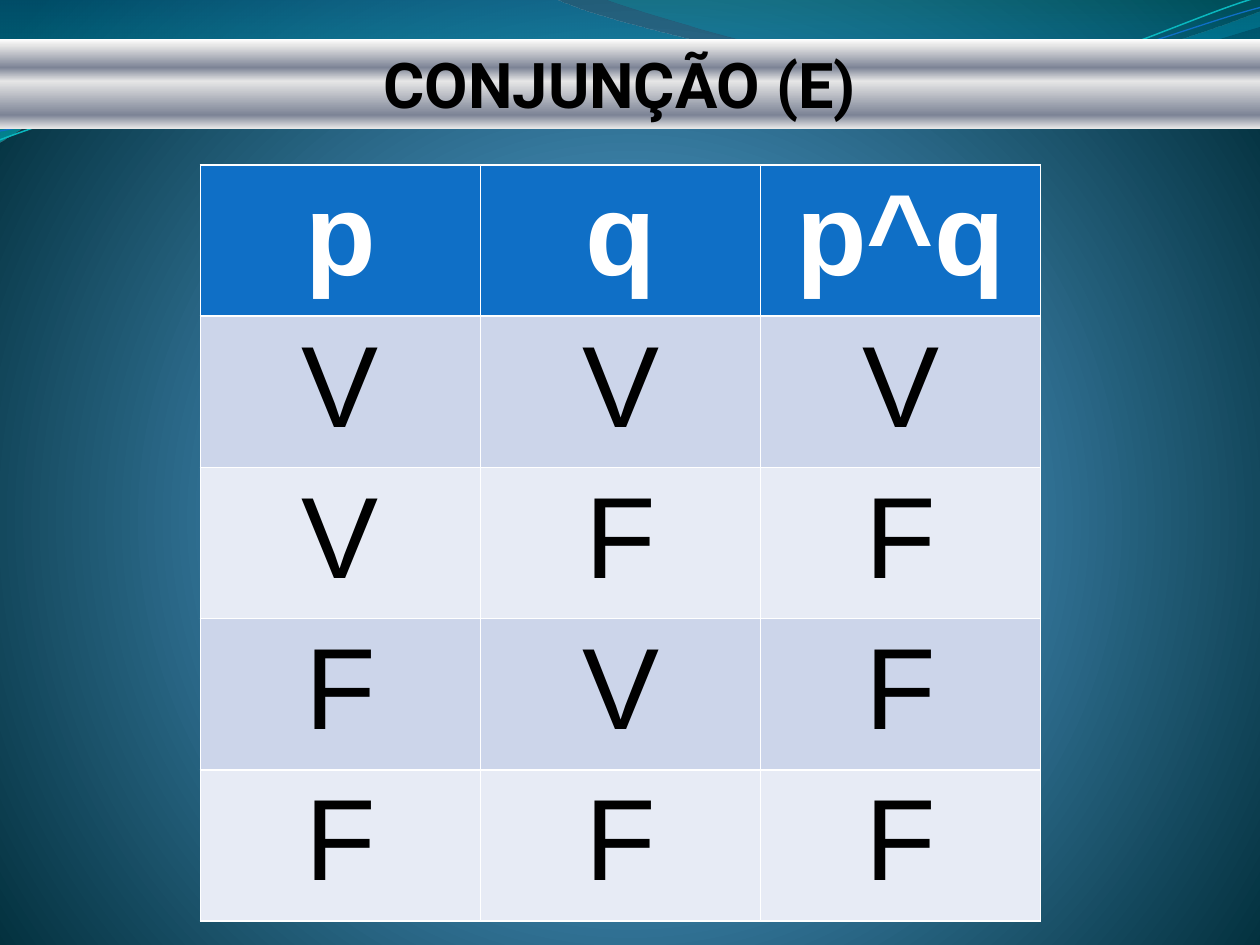
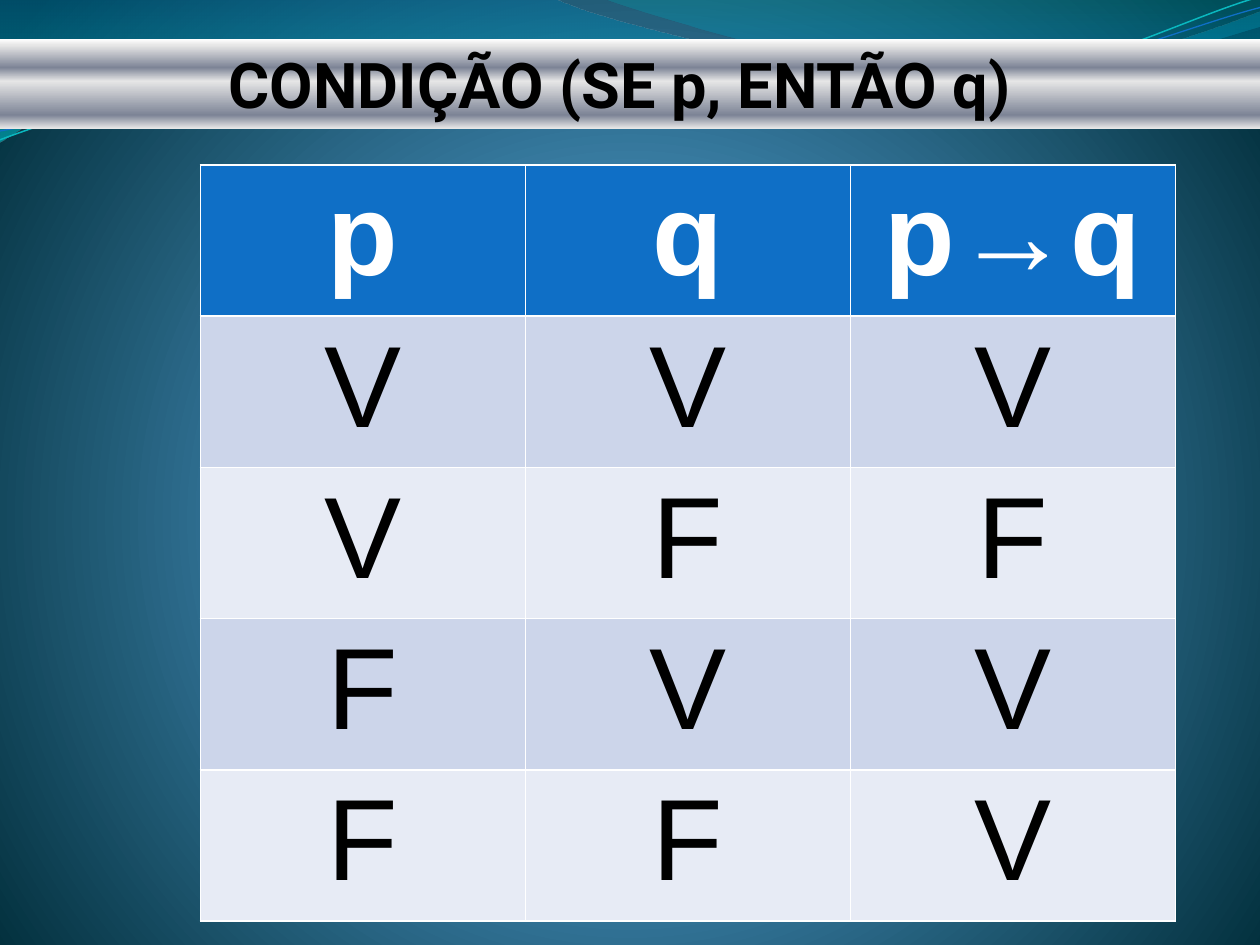
from lxml import etree
from pptx import Presentation
from pptx import util as u
from pptx.dml.color import RGBColor
from pptx.enum import text
from pptx.oxml.ns import qn

COLORS = {
    "white": "FFFFFF", "black": "000000", "silver": "E6E6E6", "steel": "7D8496",
    "header": "0F6FC6", "odd_row": "CCD5EA", "even_row": "E7EBF5",
    "sky": "4AA0D6", "sea": "4C98C7", "deep": "002C38",
    "wave_blue": "0074A1", "wave_cyan": "00C6CF",
    "crest_teal": "00A1A9", "crest_blue": "008BBF", "line_teal": "0AB8BF",
}
BACKGROUND_STOPS = [(0, "sky", 100), (25, "sea", 100), (100, "deep", 100)]
BAND_STOPS = [(0, "white", 100), (7, "silver", 100), (32, "steel", 100),
              (47, "silver", 100), (85, "steel", 100), (100, "silver", 100)]
WAVE_STOPS = [(0, "wave_blue", 45), (100, "wave_cyan", 55)]
CREST_STOPS = [(0, "crest_teal", 30), (80, "crest_blue", 45)]

WAVE = [(0, 0), (4.4, -0.01),
        (4.76, 0.17, 6.64, 0.63, 7.58, 0.63), (8.53, 0.63, 9.58, 0.26, 10, 0.09),
        (10.01, 0.36),
        (9.83, 0.44, 8.7, 0.76, 7.46, 0.75), (6.22, 0.75, 3.82, 0.28, 2.57, 0.34),
        (1.29, 0.36, 0.46, 0.83, -0.01, 1.13), (0, 0)]
CREST = [(4.79, -0.01),
         (5.09, 0.11, 6.82, 0.62, 7.69, 0.65), (8.56, 0.69, 9.61, 0.32, 10, 0.21),
         (10, 0), (4.79, -0.01)]
TEAL_LINE = [(0, 1.11),
             (0.48, 0.93, 1.58, 0.57, 2.77, 0.52), (3.95, 0.47, 5.93, 0.89, 7.13, 0.8),
             (8.33, 0.71, 9.38, 0.15, 9.98, -0.02)]
BLUE_LINE = [(0, 1.04),
             (0.47, 0.96, 1.64, 0.61, 2.83, 0.56), (4.03, 0.51, 5.97, 0.84, 7.17, 0.75),
             (8.36, 0.67, 9.41, 0.21, 10, 0.06)]

TRUTH_TABLES = [
    ("CONJUNÇÃO (E)", 6.67, ["p", "q", "p^q"], ["VVV", "VFF", "FVF", "FFF"]),
    ("CONDIÇÃO (SE p, ENTÃO q)", 7.74, ["p", "q", "p→q"], ["VVV", "VFF", "FVV", "FFV"]),
]


def rgb(name):
    """Return the named palette colour."""
    return RGBColor.from_string(COLORS[name])


def add_element(parent, tag, **attributes):
    """Append a drawing element with the given attributes."""
    values = {key: str(value) for key, value in attributes.items()}
    return etree.SubElement(parent, qn(tag), values)


def set_gradient(fill, element, stops, circle=None):
    """Fill with a vertical gradient, or a circular one toward the given rectangle."""
    fill.gradient()
    gradient = next(element.iter(qn("a:gradFill")))
    for child in list(gradient):
        gradient.remove(child)
    stop_list = add_element(gradient, "a:gsLst")
    for position, name, alpha in stops:
        stop = add_element(stop_list, "a:gs", pos=position * 1000)
        color = add_element(stop, "a:srgbClr", val=COLORS[name])
        if alpha < 100:
            add_element(color, "a:alpha", val=alpha * 1000)
    if circle:
        path = add_element(gradient, "a:path", path="circle")
        sides = {side: value * 1000 for side, value in zip("ltrb", circle)}
        add_element(path, "a:fillToRect", **sides)
    else:
        add_element(gradient, "a:lin", ang=5400000, scaled=0)


def write_text(frame, content, *, font, size, color, bold=False):
    """Write one centred paragraph in the given format."""
    paragraph = frame.paragraphs[0]
    paragraph.alignment = text.PP_ALIGN.CENTER
    run = paragraph.add_run()
    run.text = content
    run.font.name = font
    run.font.size = u.Pt(size)
    run.font.bold = bold
    run.font.color.rgb = rgb(color)


def bend(shape, outline):
    """Replace the straight segments that stand for cubic curves."""
    segments = list(shape.element.iter(qn("a:lnTo")))
    for line, segment in zip(segments, outline[1:]):
        if len(segment) == 2:
            continue
        curve = etree.Element(qn("a:cubicBezTo"))
        for x, y in zip(segment[::2], segment[1::2]):
            add_element(curve, "a:pt", x=u.Inches(x) - shape.left,
                        y=u.Inches(y) - shape.top)
        line.getparent().replace(line, curve)


def add_curve(slide, outline, close):
    """Draw an outline of lines and cubic curves as a freeform."""
    anchors = [(u.Inches(segment[-2]), u.Inches(segment[-1])) for segment in outline]
    builder = slide.shapes.build_freeform(*anchors[0])
    builder.add_line_segments(anchors[1:], close=close)
    shape = builder.convert_to_shape()
    bend(shape, outline)
    shape.shadow.inherit = False
    return shape


def add_wave(slide, outline, stops):
    """Draw a translucent wave without a line."""
    shape = add_curve(slide, outline, True)
    set_gradient(shape.fill, shape.element, stops)
    shape.line.fill.background()
    return shape


def add_wave_line(slide, outline, color, width):
    """Draw a thin curved line."""
    shape = add_curve(slide, outline, False)
    shape.fill.background()
    shape.line.color.rgb = rgb(color)
    shape.line.width = u.Pt(width)
    return shape


def decorate_layout(layout, slide):
    """Give the layout its background and waves, drawn by way of a slide."""
    set_gradient(layout.background.fill, layout.element, BACKGROUND_STOPS,
                 circle=(10, 110, 10, 100))
    waves = [
        add_wave(slide, WAVE, WAVE_STOPS),
        add_wave(slide, CREST, CREST_STOPS),
        add_wave_line(slide, TEAL_LINE, "line_teal", 0.85),
        add_wave_line(slide, BLUE_LINE, "header", 0.75),
    ]
    for wave in waves:
        layout.shapes.element.append(wave.element)


def set_title(slide, content):
    """Shape the title placeholder into a metallic band."""
    title = slide.shapes.title
    title.left, title.top = u.Inches(-0.55), u.Inches(0.31)
    title.width, title.height = u.Inches(10.94), u.Inches(0.71)
    set_gradient(title.fill, title.element, BAND_STOPS)
    frame = title.text_frame
    frame.word_wrap = True
    frame.auto_size = text.MSO_AUTO_SIZE.NONE
    frame.vertical_anchor = text.MSO_ANCHOR.TOP
    write_text(frame, content, font="Roboto", size=36, color="black", bold=True)


def add_truth_table(slide, width, headers, rows):
    """Add a truth table with a header row and banded rows."""
    lines = [headers, *rows]
    frame = slide.shapes.add_table(len(lines), len(headers), u.Inches(1.59),
                                   u.Inches(1.31), u.Inches(width), u.Inches(6))
    for row, values in enumerate(lines):
        is_header = row == 0
        band = "header" if is_header else "odd_row" if row % 2 else "even_row"
        for column, value in enumerate(values):
            cell = frame.table.cell(row, column)
            cell.fill.solid()
            cell.fill.fore_color.rgb = rgb(band)
            write_text(cell.text_frame, value, font="Arial", size=66,
                       color="white" if is_header else "black", bold=is_header)


def main():
    """Build the truth table slides."""
    presentation = Presentation()
    presentation.slide_width, presentation.slide_height = u.Inches(10), u.Inches(7.5)
    layout = presentation.slide_layouts[5]
    for number, (title, width, headers, rows) in enumerate(TRUTH_TABLES):
        slide = presentation.slides.add_slide(layout)
        if number == 0:
            decorate_layout(layout, slide)
        set_title(slide, title)
        add_truth_table(slide, width, headers, rows)
    presentation.save("out.pptx")


if __name__ == "__main__":
    main()
